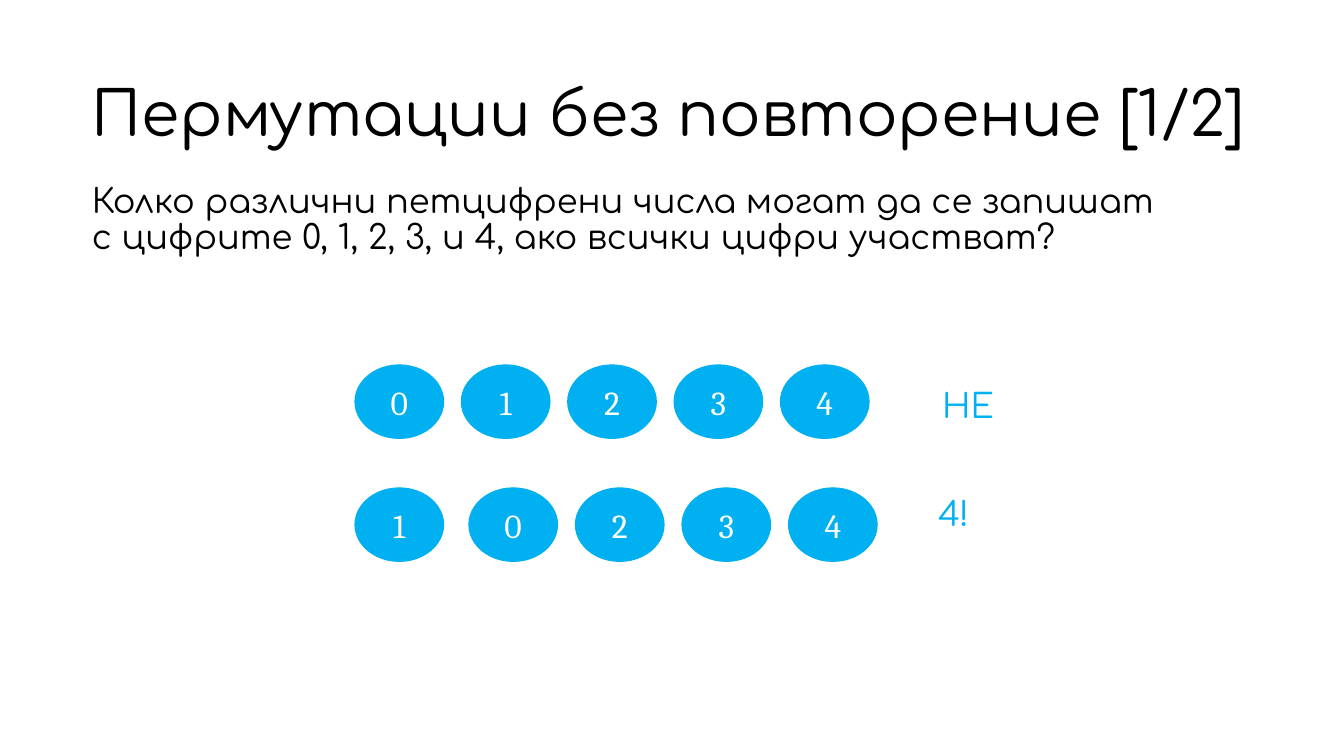
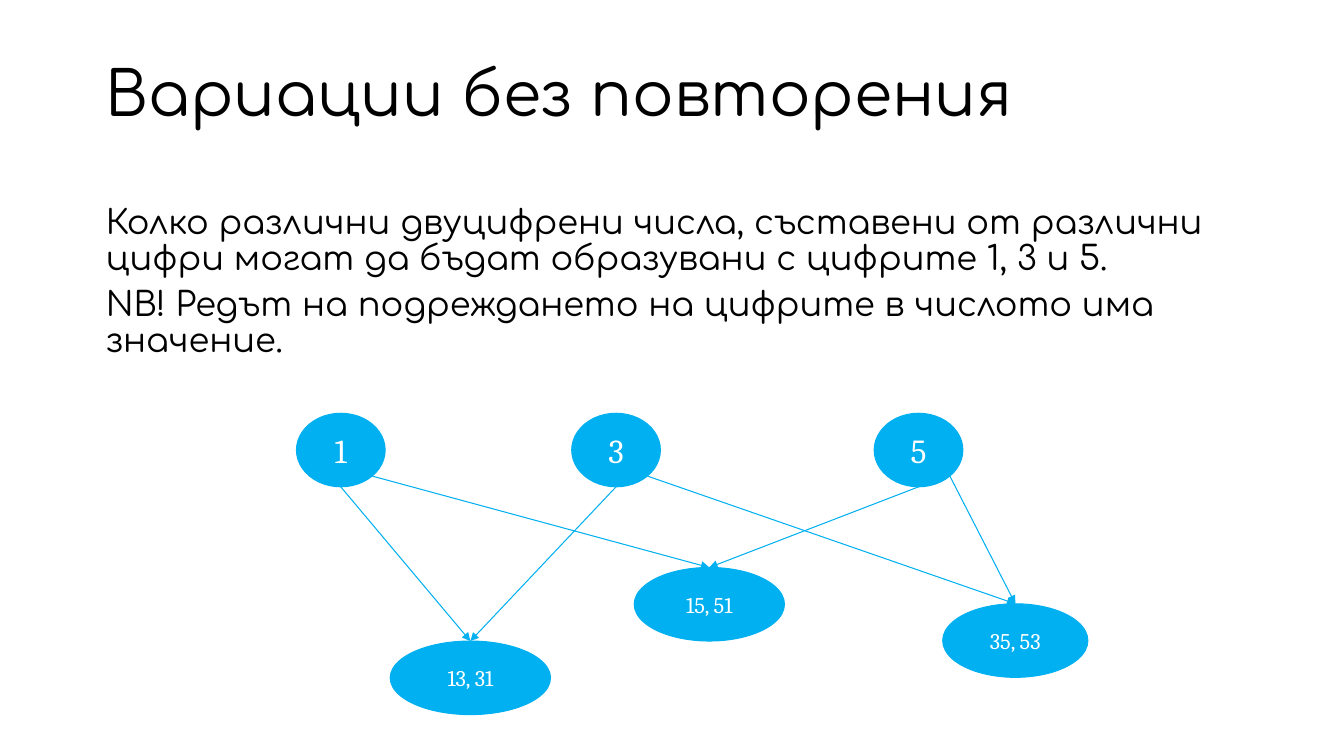
from math import sqrt

from lxml import etree
from pptx import Presentation
from pptx.dml.color import RGBColor
from pptx.enum.shapes import MSO_CONNECTOR, MSO_SHAPE
from pptx.enum.text import MSO_ANCHOR, MSO_AUTO_SIZE, PP_ALIGN
from pptx.oxml.ns import qn
from pptx.util import Inches, Pt

ELLIPSE = MSO_SHAPE.OVAL
STRAIGHT = MSO_CONNECTOR.STRAIGHT
TOP, MIDDLE = MSO_ANCHOR.TOP, MSO_ANCHOR.MIDDLE
LEFT, CENTER = PP_ALIGN.LEFT, PP_ALIGN.CENTER
NO_AUTOFIT = MSO_AUTO_SIZE.NONE

BLUE, BLACK, WHITE = "00B0F0", "000000", "FFFFFF"
TEXT_FONT, DIGIT_FONT = "Comfortaa", "Cambria"
TITLE_SIZE, TEXT_SIZE, PAIR_SIZE = 44, 24, 16
DIGIT_WIDTH, ELLIPSE_HEIGHT = 0.88, 0.73
LINE_WIDTH = 0.75


def color(hex_string):
    return RGBColor.from_string(hex_string)


def set_frame(shape, anchor, side, vertical):
    """Set wrapping, anchor and margins, and return the text frame."""
    frame = shape.text_frame
    frame.word_wrap = True
    frame.auto_size = NO_AUTOFIT
    frame.vertical_anchor = anchor
    frame.margin_left = frame.margin_right = Inches(side)
    frame.margin_top = frame.margin_bottom = Inches(vertical)
    return frame


def add_run(paragraph, text, size, font, hex_string, alignment):
    paragraph.alignment = alignment
    run = paragraph.add_run()
    run.text = text
    run.font.size = Pt(size)
    run.font.name = font
    run.font.color.rgb = color(hex_string)


def fill_placeholder(placeholder, box, paragraphs, size, anchor):
    """Move a placeholder to box and write plain paragraphs without bullets."""
    placeholder.left, placeholder.top, placeholder.width, placeholder.height = map(Inches, box)
    frame = set_frame(placeholder, anchor, 0.12, 0.04)
    for index, text in enumerate(paragraphs):
        paragraph = frame.add_paragraph() if index else frame.paragraphs[0]
        properties = paragraph._p.get_or_add_pPr()
        properties.set("marL", "0")
        properties.set("indent", "0")
        etree.SubElement(properties, qn("a:buNone"))
        paragraph.line_spacing = 0.9
        paragraph.space_before = Pt(6.7 if index else 0)
        add_run(paragraph, text, size, TEXT_FONT, BLACK, LEFT)


def add_text_slide(presentation, title, title_box, paragraphs, body_box):
    slide = presentation.slides.add_slide(presentation.slide_layouts[1])
    fill_placeholder(slide.shapes.title, title_box, [title], TITLE_SIZE, MIDDLE)
    fill_placeholder(slide.placeholders[1], body_box, paragraphs, TEXT_SIZE, TOP)
    return slide


def add_ellipse(slide, text, left, top, width=DIGIT_WIDTH, size=TEXT_SIZE):
    shape = slide.shapes.add_shape(
        ELLIPSE, Inches(left), Inches(top), Inches(width), Inches(ELLIPSE_HEIGHT))
    shape.shadow.inherit = False
    shape.fill.solid()
    shape.fill.fore_color.rgb = color(BLUE)
    shape.line.color.rgb = color(BLUE)
    shape.line.width = Pt(LINE_WIDTH)
    frame = set_frame(shape, MIDDLE, 0.13, 0.13)
    add_run(frame.paragraphs[0], text, size, DIGIT_FONT, WHITE, CENTER)
    return shape


def add_digit_row(slide, digits, left, top, width):
    """Spread the digits over the width with equal gaps."""
    step = (width - DIGIT_WIDTH) / (len(digits) - 1)
    for index, digit in enumerate(digits):
        add_ellipse(slide, digit, left + index * step, top)


def add_label(slide, text, box):
    label = slide.shapes.add_textbox(*map(Inches, box))
    frame = set_frame(label, TOP, 0.1, 0.05)
    add_run(frame.paragraphs[0], text, TEXT_SIZE, TEXT_FONT, BLUE, CENTER)


def ellipse_point(shape, across, down):
    """Point at the given fractions of the half-axes from the centre."""
    return (int(shape.left + shape.width * (1 + across) / 2),
            int(shape.top + shape.height * (1 + down) / 2))


def add_arrow(slide, start, end):
    arrow = slide.shapes.add_connector(STRAIGHT, *start, *end)
    arrow.line.color.rgb = color(BLUE)
    arrow.line.width = Pt(LINE_WIDTH)
    etree.SubElement(arrow.line._get_or_add_ln(), qn("a:tailEnd"), type="triangle")
    etree.SubElement(arrow._element.spPr, qn("a:effectLst"))


def add_pair_diagram(slide, left, top):
    """Digits on top, with arrows to the numbers formed from each pair."""
    digits = {
        digit: add_ellipse(slide, digit, left + offset, top)
        for digit, offset in (("1", 0), ("3", 2.73), ("5", 5.73))
    }
    diagonal = 1 / sqrt(2)
    bottom, bottom_right = (0, 1), (diagonal, diagonal)
    pairs = (
        ("13, 31", 0.93, 2.26, 1.59, (("1", bottom), ("3", bottom))),
        ("15, 51", 3.35, 1.53, 1.49, (("1", bottom_right), ("5", bottom))),
        ("35, 53", 6.41, 1.89, 1.44, (("3", bottom_right), ("5", bottom_right))),
    )
    for text, across, down, width, sources in pairs:
        pair = add_ellipse(slide, text, left + across, top + down, width, PAIR_SIZE)
        for digit, site in sources:
            add_arrow(slide, ellipse_point(digits[digit], *site), ellipse_point(pair, 0, -1))


def add_permutations_slide(presentation):
    slide = add_text_slide(
        presentation,
        "Пермутации без повторение [1/2]", (0.79, 0.68, 11.93, 0.96),
        ["Колко различни петцифрени числа могат да се запишат с цифрите "
         "0, 1, 2, 3, и 4, ако всички цифри участват?"],
        (0.79, 1.79, 10.92, 1.37))
    # A leading zero is not allowed
    add_digit_row(slide, "01234", 3.52, 3.62, 5.1)
    add_label(slide, "НЕ", (9.09, 3.77, 1.02, 0.46))
    # The first digit stands apart from the rest
    add_ellipse(slide, "1", 3.52, 4.84)
    add_digit_row(slide, "0234", 4.65, 4.84, 4.05)
    add_label(slide, "4!", (9.09, 4.84, 0.74, 0.61))


def add_variations_slide(presentation):
    slide = add_text_slide(
        presentation,
        "Вариации без повторения", (0.93, 0.54, 11.23, 0.84),
        ["Колко различни двуцифрени числа, съставени от различни цифри "
         "могат да бъдат образувани с цифрите 1, 3 и 5.",
         "NB! Редът на подреждането на цифрите в числото има значение."],
        (0.93, 2, 11.23, 1.76))
    add_pair_diagram(slide, 2.94, 4.1)


def main():
    presentation = Presentation()
    presentation.slide_width = Inches(13.33)
    presentation.slide_height = Inches(7.5)
    add_permutations_slide(presentation)
    add_variations_slide(presentation)
    presentation.save("out.pptx")


if __name__ == "__main__":
    main()
